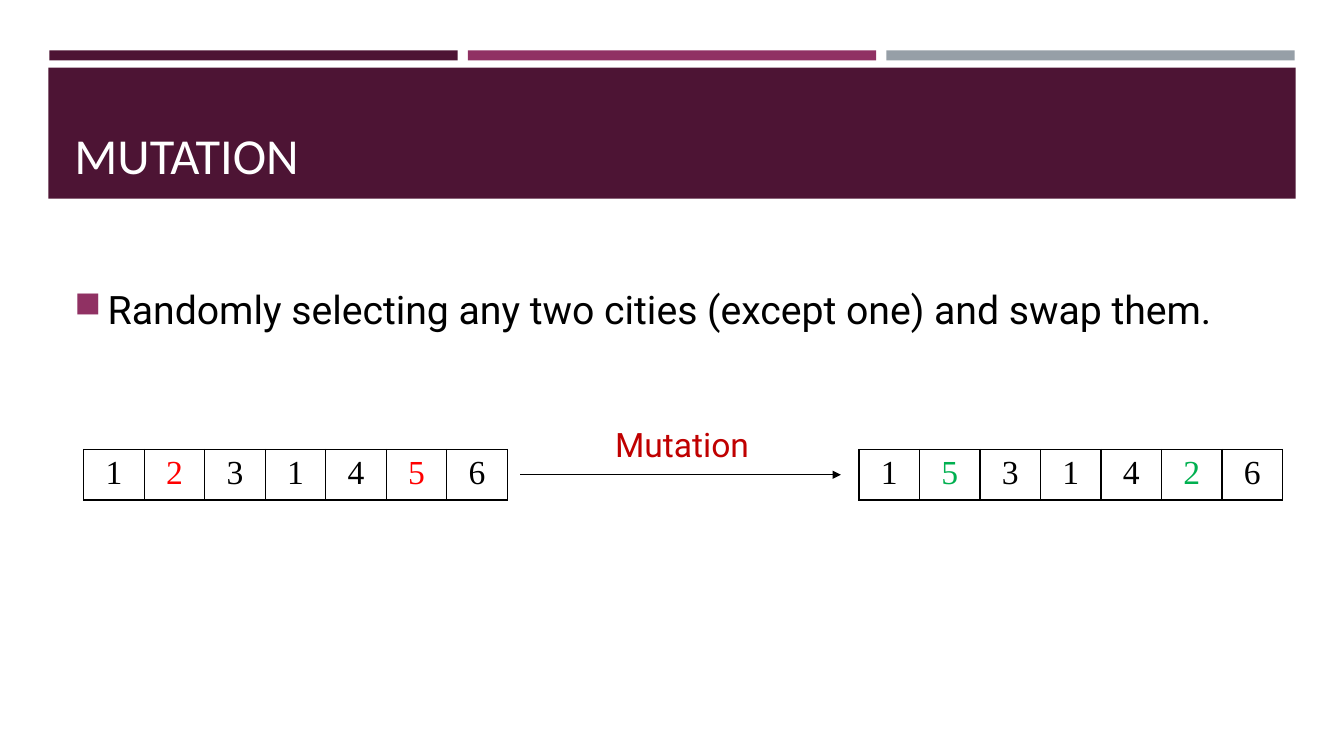
from lxml import etree
from pptx import Presentation, util as u
from pptx.dml.color import RGBColor
from pptx.enum import shapes, text
from pptx.oxml import parse_xml
from pptx.oxml.ns import nsdecls, qn

PLUM, BERRY, GREY = "4D1434", "903163", "969FA7"
BLACK, WHITE = "000000", "FFFFFF"
RED, DARK_RED, GREEN = "FF0000", "C00000", "00B050"
HEADING, BODY, DIGITS = "Calibri", "Roboto", "Times New Roman"


def rgb(value):
    return RGBColor.from_string(value)


def inches(*lengths):
    return [u.Inches(n) for n in lengths]


class SlideBuilder:
    def __init__(self, slide):
        self.s = slide

    def add_words(self, tf, words, font, size, color, align=text.PP_ALIGN.LEFT):
        p = tf.paragraphs[0]
        p.alignment = align
        r = p.add_run()
        r.text = words
        for name, value in {"name": font, "size": u.Pt(size)}.items():
            setattr(r.font, name, value)
        r.font.color.rgb = rgb(color)
        return p

    def rect(self, box, fill, line=None, kind=shapes.MSO_SHAPE.RECTANGLE):
        sp = self.s.shapes.add_shape(kind, *inches(*box))
        sp.shadow.inherit = False
        sp.fill.solid()
        sp.fill.fore_color.rgb = rgb(fill)
        if line:
            sp.line.color.rgb = rgb(line)
            sp.line.width = u.Pt(1.75)
        else:
            sp.line.fill.background()
        return sp

    def label(self, box, words, font, size, color):
        sp = self.rect(box, WHITE, WHITE, shapes.MSO_SHAPE.FLOWCHART_PROCESS)
        tf = sp.text_frame
        tf.vertical_anchor = text.MSO_ANCHOR.MIDDLE
        self.add_words(tf, words, font, size, color, text.PP_ALIGN.CENTER)

    def textbox(self, box, words, font, size, color, anchor):
        tf = self.s.shapes.add_textbox(*inches(*box)).text_frame
        for name, value in {"word_wrap": True, "vertical_anchor": anchor}.items():
            setattr(tf, name, value)
        return self.add_words(tf, words, font, size, color)

    def bullet(self, p, color, indent):
        p.space_after = u.Pt(6)
        pPr = p._p.get_or_add_pPr()
        pPr.set("marL", str(u.Inches(indent)))
        pPr.set("indent", str(-u.Inches(indent)))
        for xml in (f'<a:buClr {nsdecls("a")}><a:srgbClr val="{color}"/></a:buClr>',
                    f'<a:buSzPct {nsdecls("a")} val="92000"/>',
                    f'<a:buChar {nsdecls("a")} char="■"/>'):
            pPr.append(parse_xml(xml))

    def border(self, cell):
        tcPr = cell._tc.get_or_add_tcPr()
        for i, side in enumerate(("lnL", "lnR", "lnT", "lnB")):
            tcPr.insert(i, parse_xml(
                f'<a:{side} {nsdecls("a")} w="{u.Pt(1)}"><a:solidFill>'
                f'<a:srgbClr val="{BLACK}"/></a:solidFill></a:{side}>'))

    def tour(self, left, top, cities, swapped, accent):
        """Draw a one-row table of cities, with the swapped positions in accent."""
        width, height = 0.6 * len(cities), 0.47
        table = self.s.shapes.add_table(
            1, len(cities), *inches(left, top, width, height)).table
        table.first_row = table.horz_banding = False
        for i, city in enumerate(cities):
            table.columns[i].width = u.Inches(width / len(cities))
            cell = table.cell(0, i)
            cell.fill.background()
            self.border(cell)
            self.add_words(cell.text_frame, city, DIGITS, 24,
                           accent if i in swapped else BLACK, text.PP_ALIGN.CENTER)

    def arrow(self, x1, y1, x2, y2):
        c = self.s.shapes.add_connector(
            shapes.MSO_CONNECTOR.STRAIGHT, *inches(x1, y1, x2, y2))
        c.line.color.rgb = rgb(BLACK)
        c.line.width = u.Pt(1)
        spPr = c._element.spPr
        etree.SubElement(spPr.find(qn("a:ln")), qn("a:tailEnd"), type="triangle")
        etree.SubElement(spPr, qn("a:effectLst"))


def main():
    prs = Presentation()
    prs.slide_width, prs.slide_height = inches(13.33, 7.5)
    b = SlideBuilder(prs.slides.add_slide(prs.slide_layouts[6]))

    for i, color in enumerate((PLUM, BERRY, GREY)):
        b.rect((0.49 + 4.15 * i, 0.5, 4.05, 0.1), color)
    b.rect((0.48, 0.67, 12.37, 1.3), PLUM)
    b.textbox((0.64, 0.77, 12.06, 1.11), "MUTATION", HEADING, 36, WHITE,
              text.MSO_ANCHOR.BOTTOM)
    p = b.textbox((0.64, 2.38, 12.06, 1.37),
                  "Randomly selecting any two cities (except one) and swap them.",
                  BODY, 28, BLACK, text.MSO_ANCHOR.MIDDLE)
    b.bullet(p, BERRY, 0.33)

    swapped = (1, 5)
    b.tour(0.83, 4.46, "1231456", swapped, RED)
    b.tour(8.52, 4.46, "1531426", swapped, GREEN)
    b.arrow(5.16, 4.71, 8.34, 4.71)
    b.label((5.73, 4.22, 2.07, 0.37), "Mutation", BODY, 24, DARK_RED)

    prs.save("out.pptx")


if __name__ == "__main__":
    main()
